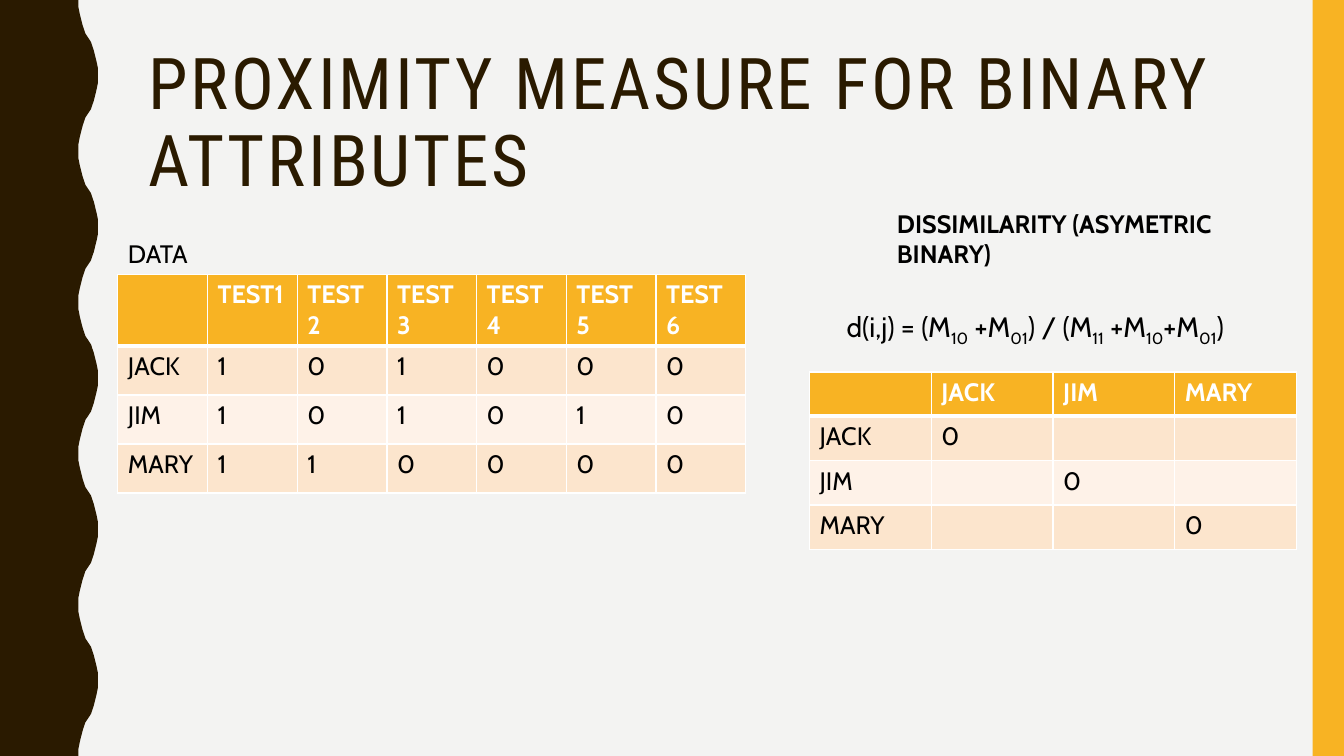
from lxml.etree import SubElement
from pptx import Presentation
from pptx.dml.color import RGBColor
from pptx.enum.shapes import MSO_SHAPE
from pptx.enum.text import MSO_ANCHOR, MSO_AUTO_SIZE, PP_ALIGN
from pptx.oxml.ns import qn
from pptx.util import Pt

COLORS = {
    "page": "F3F3F2",
    "brown": "2A1A00",
    "gold": "F8B323",
    "peach": "FCE5CD",
    "cream": "FEF2E8",
    "white": "FFFFFF",
    "black": "000000",
}
HEADING_FONT = "Roboto Condensed"
BODY_FONT = "Cabin"
SLIDE_WIDTH, SLIDE_HEIGHT = 960, 540
WAVE_MIDDLE, HALF_WAVE = 63, 54
QUARTER_WAVE = [(56, 0), (56.4, 5), (57, 10), (57.7, 14.4),
                (58.6, 18), (59.8, 21), (61.3, 24), (63, 27)]

TEST_RESULTS = [
    ["", "TEST1", "TEST2", "TEST3", "TEST4", "TEST5", "TEST6"],
    ["JACK", "1", "0", "1", "0", "0", "0"],
    ["JIM", "1", "0", "1", "0", "1", "0"],
    ["MARY", "1", "1", "0", "0", "0", "0"],
]
DISSIMILARITIES = [
    ["", "JACK", "JIM", "MARY"],
    ["JACK", "0", "", ""],
    ["JIM", "", "0", ""],
    ["MARY", "", "", "0"],
]
FORMULA = ["d(i,j) = (M", "10", " +M", "01", ") / (M", "11",
           " +M", "10", "+M", "01", ")"]


def color(name):
    return RGBColor.from_string(COLORS[name])


def paint(shape, name):
    shape.shadow.inherit = False
    shape.fill.solid()
    shape.fill.fore_color.rgb = color(name)
    shape.line.fill.background()


def style(font, size, name="black", bold=False, face=BODY_FONT):
    font.name = face
    font.size = Pt(size)
    font.bold = bold
    font.color.rgb = color(name)


def add_wavy_edge(slide):
    rising = QUARTER_WAVE + [
        (2 * WAVE_MIDDLE - x, HALF_WAVE - y) for x, y in QUARTER_WAVE[-2::-1]]
    outline = [(0, 0)]
    for half in range(SLIDE_HEIGHT // HALF_WAVE):
        for x, y in rising:
            edge = 2 * WAVE_MIDDLE - x if half % 2 else x
            outline.append((edge, half * HALF_WAVE + y))
    outline.append((0, SLIDE_HEIGHT))
    builder = slide.shapes.build_freeform(0, 0, scale=Pt(1))
    builder.add_line_segments(outline[1:], close=True)
    paint(builder.convert_to_shape(), "brown")


def add_side_bar(slide):
    bar = slide.shapes.add_shape(
        MSO_SHAPE.RECTANGLE, Pt(937.6), 0, Pt(22.4), Pt(SLIDE_HEIGHT))
    paint(bar, "gold")


def set_title(slide, text):
    title = slide.shapes.title
    title.left, title.top = Pt(98.6), Pt(30.2)
    title.width, title.height = Pt(801.4), Pt(117.4)
    frame = title.text_frame
    frame.text = text
    frame.word_wrap = True
    frame.auto_size = MSO_AUTO_SIZE.NONE
    frame.vertical_anchor = MSO_ANCHOR.MIDDLE
    heading = frame.paragraphs[0]
    heading.alignment = PP_ALIGN.LEFT
    heading.line_spacing = 0.9
    for run in heading.runs:
        style(run.font, 51, "brown", face=HEADING_FONT)
        run._r.get_or_add_rPr().set("spc", "200")


def add_text(slide, left, top, width, height, parts, size, bold=False):
    box = slide.shapes.add_textbox(Pt(left), Pt(top), Pt(width), Pt(height))
    box.text_frame.word_wrap = True
    paragraph = box.text_frame.paragraphs[0]
    for index, part in enumerate(parts):
        run = paragraph.add_run()
        run.text = part
        style(run.font, size, bold=bold)
        if index % 2:
            run._r.get_or_add_rPr().set("baseline", "-25000")


def add_borders(cell, widths):
    properties = cell._tc.get_or_add_tcPr()
    for side, width in widths.items():
        line = SubElement(properties, qn(f"a:ln{side}"), w=str(Pt(width)))
        fill = SubElement(line, qn("a:solidFill"))
        SubElement(fill, qn("a:srgbClr"), val=COLORS["white"])


def add_grid(slide, left, top, width, row_heights, rows):
    columns = len(rows[0])
    table = slide.shapes.add_table(
        len(rows), columns, Pt(left), Pt(top),
        Pt(width), Pt(sum(row_heights))).table
    for column in table.columns:
        column.width = Pt(width / columns)
    for r, values in enumerate(rows):
        table.rows[r].height = Pt(row_heights[r])
        header = r == 0
        background = "gold" if header else "peach" if r % 2 else "cream"
        for c, value in enumerate(values):
            cell = table.cell(r, c)
            cell.text = value
            style(cell.text_frame.paragraphs[0].font, 18,
                  "white" if header else "black", header)
            add_borders(cell, {"L": 1, "R": 1, "T": 3 if r == 1 else 1,
                               "B": 3 if header else 1})
            cell.fill.solid()
            cell.fill.fore_color.rgb = color(background)


def main():
    deck = Presentation()
    deck.slide_width, deck.slide_height = Pt(SLIDE_WIDTH), Pt(SLIDE_HEIGHT)
    slide = deck.slides.add_slide(deck.slide_layouts[5])
    slide.background.fill.solid()
    slide.background.fill.fore_color.rgb = color("page")
    add_wavy_edge(slide)
    add_side_bar(slide)
    set_title(slide, "PROXIMITY MEASURE FOR BINARY ATTRIBUTES")
    add_grid(slide, 84.2, 196, 448.6, [50.4, 35, 35, 35], TEST_RESULTS)
    add_text(slide, 84.2, 167, 72.7, 29, ["DATA"], 18)
    add_text(slide, 633.6, 145, 306, 51,
             ["DISSIMILARITY (ASYMETRIC BINARY)"], 18, bold=True)
    add_text(slide, 597.6, 217.4, 328.3, 31.7, FORMULA, 20)
    add_grid(slide, 578.2, 265.7, 348, [31.7] * 4, DISSIMILARITIES)
    deck.save("out.pptx")


if __name__ == "__main__":
    main()
